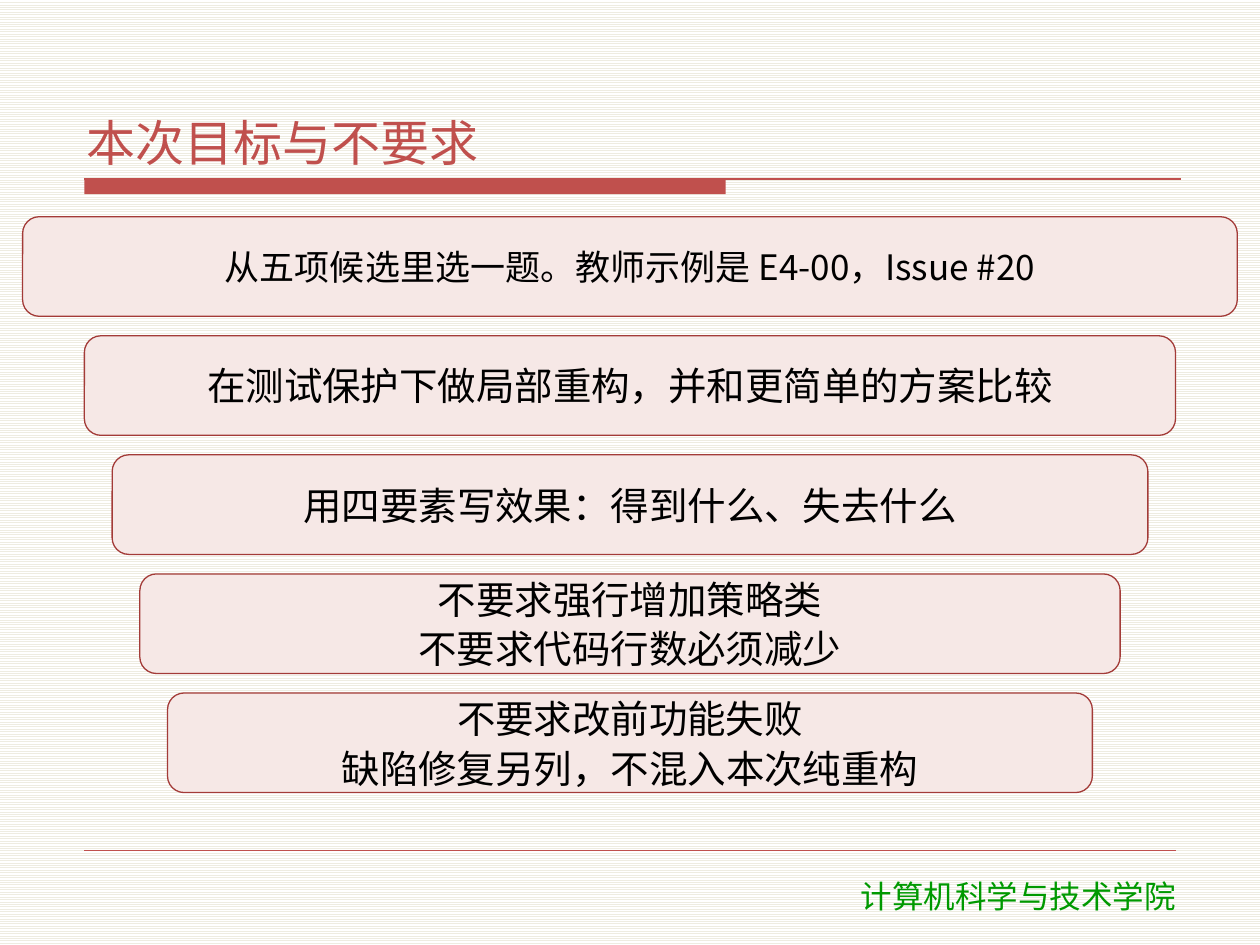
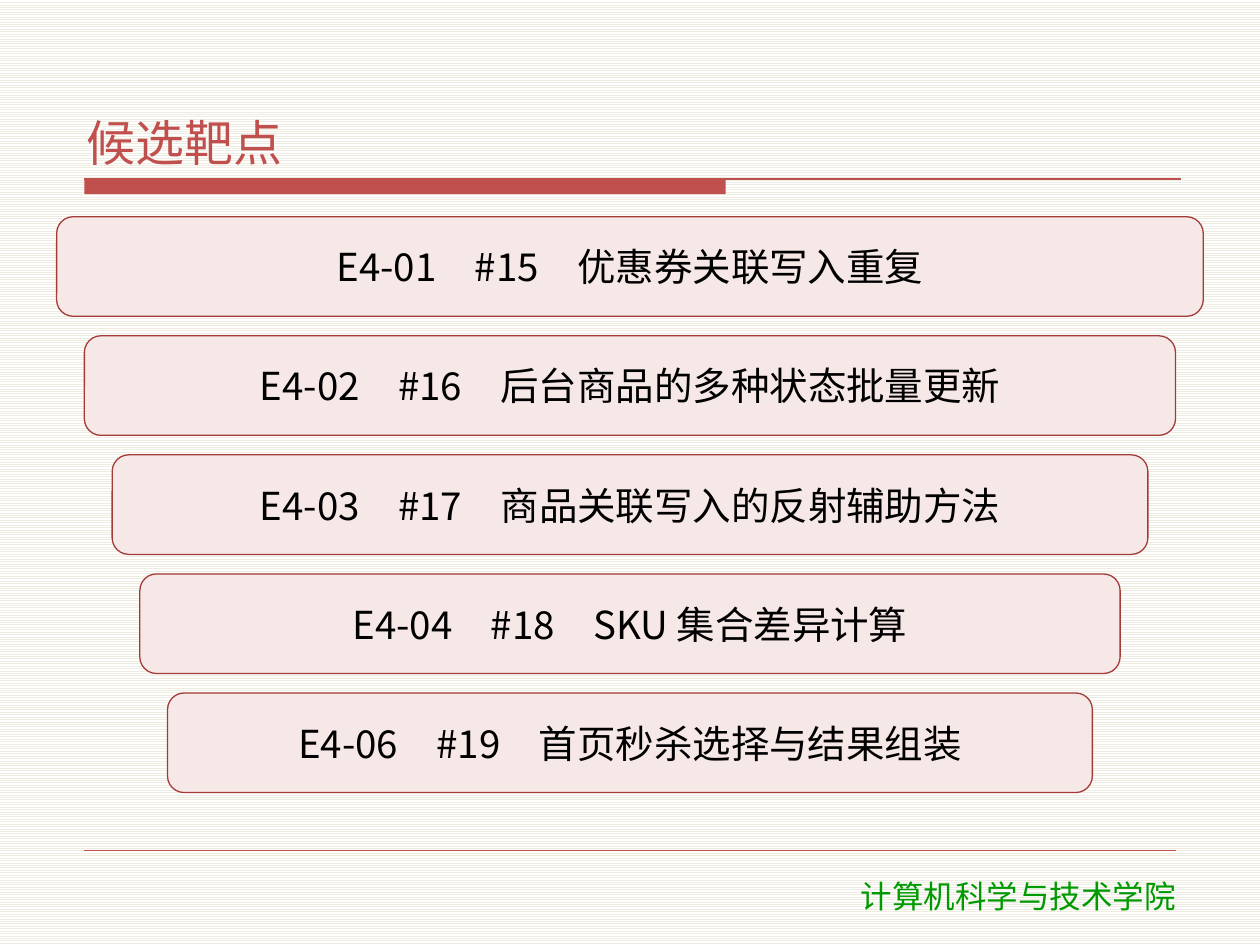
import pptx
import pptx.util
import pptx.dml.color
import pptx.enum.dml
import pptx.enum.shapes
import pptx.enum.text
import pptx.oxml.ns
import lxml.etree

Inches = pptx.util.Inches
Pt = pptx.util.Pt
hue = pptx.dml.color.RGBColor.from_string
qn = pptx.oxml.ns.qn
SHAPES = pptx.enum.shapes.MSO_SHAPE
ANCHOR = pptx.enum.text.MSO_ANCHOR
ALIGN = pptx.enum.text.PP_ALIGN

RED, EDGE, PALE = "C0504D", "A33B38", "F6E8E6"
GREEN, BLACK = "009900", "000000"
SANS = "Noto Sans CJK SC"
LEFT, RIGHT = 0.67, 9.33
TOP, LAST, HIGH, INDENT = 1.72, 5.5, 0.79, 0.22

# title, left edge and text size of the widest box, box texts
pages = [
    ("本次目标与不要求", 0.18, 20, [
        "从五项候选里选一题。教师示例是 E4-00，Issue #20",
        "在测试保护下做局部重构，并和更简单的方案比较",
        "用四要素写效果：得到什么、失去什么",
        "不要求强行增加策略类\n不要求代码行数必须减少",
        "不要求改前功能失败\n缺陷修复另列，不混入本次纯重构",
    ]),
    ("候选靶点", 0.45, 22, [
        "E4-01　#15　优惠券关联写入重复",
        "E4-02　#16　后台商品的多种状态批量更新",
        "E4-03　#17　商品关联写入的反射辅助方法",
        "E4-04　#18　SKU 集合差异计算",
        "E4-06　#19　首页秒杀选择与结果组装",
    ]),
]


def write(shape, text, size, color, align, anchor, side=0.06, font=SANS):
    """Fill a shape with text, one paragraph per line."""
    frame = shape.text_frame
    frame.text = text
    frame.word_wrap = True
    frame.vertical_anchor = anchor
    frame.margin_left = frame.margin_right = Inches(side)
    frame.margin_top = frame.margin_bottom = Inches(0.02)
    for para in frame.paragraphs:
        para.alignment = align
        para.space_after = Pt(2)
        for run in para.runs:
            run.font.size = Pt(size)
            run.font.name = font
            run.font.color.rgb = hue(color)
            east = lxml.etree.SubElement(run.font._element, qn("a:ea"))
            east.set("typeface", font)


def rule(slide, start, end, y, width):
    """Draw a thin red horizontal line."""
    line = slide.shapes.add_connector(
        pptx.enum.shapes.MSO_CONNECTOR.STRAIGHT,
        Inches(start), Inches(y), Inches(end), Inches(y))
    line.line.color.rgb = hue(RED)
    line.line.width = Pt(width)
    lxml.etree.SubElement(line._element.spPr, qn("a:effectLst"))


deck = pptx.Presentation()
deck.slide_width = Inches(10)
deck.slide_height = Inches(7.5)

for title, first, size, rows in pages:
    slide = deck.slides.add_slide(deck.slide_layouts[6])
    back = slide.background.fill
    back.patterned()
    back.pattern = pptx.enum.dml.MSO_PATTERN.LIGHT_HORIZONTAL
    back.fore_color.rgb = hue("EEECE1")
    back.back_color.rgb = hue("FFFFFF")

    band = slide.shapes.add_shape(
        SHAPES.RECTANGLE, Inches(LEFT), Inches(1.42), Inches(5.09), Inches(0.12))
    band.shadow.inherit = False
    band.fill.solid()
    band.fill.fore_color.rgb = hue(RED)
    band.line.fill.background()
    rule(slide, LEFT, 9.37, 1.42, 0.75)
    rule(slide, LEFT, RIGHT, 6.75, 0.25)

    foot = slide.shapes.add_textbox(
        Inches(6.17), Inches(6.93), Inches(3.82), Inches(0.36))
    write(foot, "计算机科学与技术学院", 18, GREEN, ALIGN.CENTER, ANCHOR.MIDDLE,
          font="DejaVu Sans")
    head = slide.shapes.add_textbox(
        Inches(0.63), Inches(0.33), Inches(8.75), Inches(1.05))
    write(head, title, 28, RED, ALIGN.LEFT, ANCHOR.BOTTOM)

    step = (LAST - TOP) / (len(rows) - 1)
    for i, text in enumerate(rows):
        left = LEFT + INDENT * (i - 1) if i else first
        box = slide.shapes.add_shape(
            SHAPES.ROUNDED_RECTANGLE, Inches(left), Inches(TOP + step * i),
            Inches(10 - 2 * left), Inches(HIGH))
        box.shadow.inherit = False
        box.fill.solid()
        box.fill.fore_color.rgb = hue(PALE)
        box.line.color.rgb = hue(EDGE)
        box.line.width = Pt(0.75)
        write(box, text, 22 if i else size, BLACK, ALIGN.CENTER, ANCHOR.MIDDLE)

deck.save("out.pptx")
